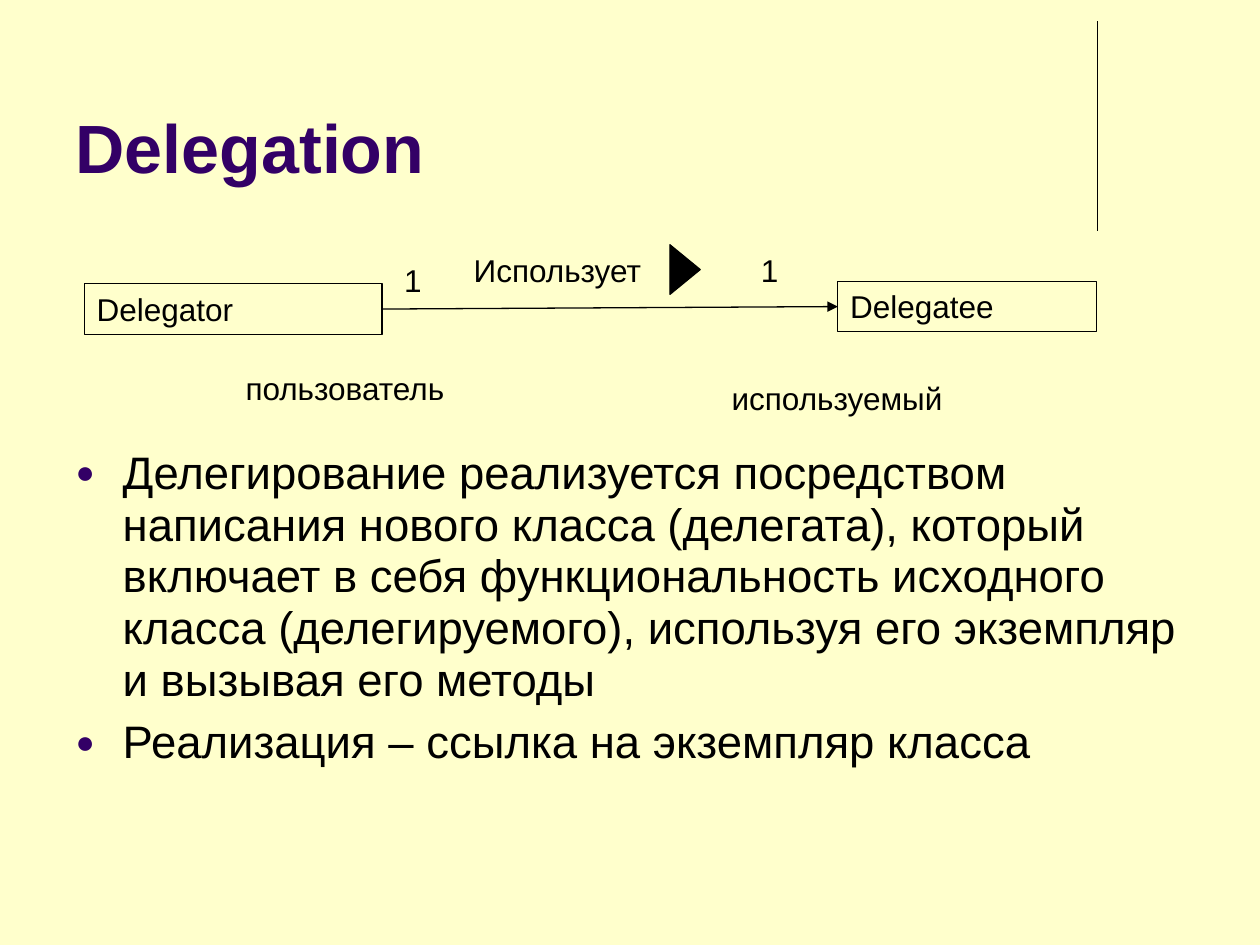
from lxml import etree
from pptx import Presentation
from pptx import util as u
from pptx.dml.color import RGBColor
from pptx.enum import shapes, text
from pptx.oxml.ns import qn

CREAM = RGBColor(0xFF, 0xFF, 0xCC)
PURPLE = RGBColor(0x33, 0x00, 0x66)
BLACK = RGBColor(0x00, 0x00, 0x00)
FONT = "Arial"
LINE_WIDTH = u.Pt(0.75)
LABEL_HEIGHT = 1.02

BULLETS = [
    "Делегирование реализуется посредством написания нового класса (делегата), "
    "который включает в себя функциональность исходного класса (делегируемого), "
    "используя его экземпляр и вызывая его методы",
    "Реализация – ссылка на экземпляр класса",
]
LABELS = [
    ("пользователь", 3, 2.39, 4.6),
    ("используемый", 12.8, 2.59, 5.8),
    ("1", 6.2, 0.2, 1.4),
    ("1", 13.39, 0, 1.4),
    ("Использует", 7.6, 0, 4),
]


def place(shape, left, top, width, height):
    """Move and size a shape, in centimetres."""
    shape.left, shape.top = u.Cm(left), u.Cm(top)
    shape.width, shape.height = u.Cm(width), u.Cm(height)


def add_run(paragraph, words, size, color=BLACK, bold=False):
    """Append one formatted run to a paragraph."""
    run = paragraph.add_run()
    run.text = words
    run.font.name, run.font.size, run.font.bold = FONT, u.Pt(size), bold
    run.font.color.rgb = color


def write_label(shape, words):
    """Fill a shape with one left-aligned diagram label."""
    frame = shape.text_frame
    frame.word_wrap = True
    frame.vertical_anchor = text.MSO_ANCHOR.TOP
    paragraph = frame.paragraphs[0]
    paragraph.alignment = text.PP_ALIGN.LEFT
    add_run(paragraph, words, 18)


def add_line(slide, x1, y1, x2, y2):
    """Draw a thin black line without shadow, in centimetres."""
    line = slide.shapes.add_connector(
        shapes.MSO_CONNECTOR.STRAIGHT, u.Cm(x1), u.Cm(y1), u.Cm(x2), u.Cm(y2))
    line.line.color.rgb, line.line.width = BLACK, LINE_WIDTH
    etree.SubElement(line._element.spPr, qn("a:effectLst"))
    return line


def add_outline(slide, preset, left, top, width, height):
    """Add an unfilled preset shape with a thin black outline."""
    shape = slide.shapes.add_shape(
        preset, u.Cm(left), u.Cm(top), u.Cm(width), u.Cm(height))
    shape.shadow.inherit = False
    shape.fill.background()
    shape.line.color.rgb, shape.line.width = BLACK, LINE_WIDTH
    return shape


def add_class_box(slide, words, left, top, width):
    """Add an outlined class box with its name."""
    box = add_outline(slide, shapes.MSO_SHAPE.RECTANGLE, left, top, width, LABEL_HEIGHT)
    write_label(box, words)
    return box


def build_title(slide, left, top, width, height):
    """Place the heading and the vertical rule at its right."""
    title = slide.shapes.title
    place(title, left, top, width, height)
    frame = title.text_frame
    frame.vertical_anchor = text.MSO_ANCHOR.BOTTOM
    frame.auto_size = text.MSO_AUTO_SIZE.NONE
    paragraph = frame.paragraphs[0]
    paragraph.alignment = text.PP_ALIGN.LEFT
    add_run(paragraph, "Delegation", 39, PURPLE, True)
    rule = left + width - 0.1
    add_line(slide, rule, top + 0.1, rule, top + 4.32)


def build_diagram(slide, left, top):
    """Draw the two classes, their association and its labels."""
    delegator = add_class_box(slide, "Delegator", left, top + 0.79, 6)
    delegatee = add_class_box(slide, "Delegatee", left + 15.19, top + 0.74, 5.21)
    arrow = add_line(slide, left, top, left, top)
    arrow.begin_connect(delegator, 3)
    arrow.end_connect(delegatee, 1)
    etree.SubElement(arrow.line._get_or_add_ln(), qn("a:tailEnd"), type="triangle")
    for words, x, y, width in LABELS:
        label = slide.shapes.add_textbox(
            u.Cm(left + x), u.Cm(top + y), u.Cm(width), u.Cm(LABEL_HEIGHT))
        write_label(label, words)
    direction = add_outline(
        slide, shapes.MSO_SHAPE.FLOWCHART_EXTRACT, left + 11.61, top + 0.2, 1, 0.61)
    direction.rotation = 90
    direction.fill.solid()
    direction.fill.fore_color.rgb = BLACK


def add_bullet(paragraph):
    """Give a paragraph a purple hanging bullet."""
    properties = paragraph._p.get_or_add_pPr()
    properties.set("marL", str(u.Cm(0.95)))
    properties.set("indent", str(-u.Cm(0.95)))
    color = etree.SubElement(properties, qn("a:buClr"))
    etree.SubElement(color, qn("a:srgbClr"), val=str(PURPLE))
    etree.SubElement(properties, qn("a:buSzPct"), val="70000")
    etree.SubElement(properties, qn("a:buFont"), typeface=FONT)
    etree.SubElement(properties, qn("a:buChar"), char="●")


def build_body(slide, left, top, width, height):
    """Place the bulleted list."""
    body = slide.placeholders[1]
    place(body, left, top, width, height)
    frame = body.text_frame
    frame.auto_size = text.MSO_AUTO_SIZE.NONE
    for index, words in enumerate(BULLETS):
        paragraph = frame.add_paragraph() if index else frame.paragraphs[0]
        add_bullet(paragraph)
        paragraph.line_spacing = 0.95
        paragraph.space_before = u.Pt(6 if index else 0)
        add_run(paragraph, words, 26)


def main():
    """Build and save the slide."""
    presentation = Presentation()
    presentation.slide_width, presentation.slide_height = u.Cm(25.4), u.Cm(19.05)
    slide = presentation.slides.add_slide(presentation.slide_layouts[1])
    slide.background.fill.solid()
    slide.background.fill.fore_color.rgb = CREAM
    build_title(slide, 1.27, 0.33, 20.95, 3.58)
    build_diagram(slide, 1.7, 4.93)
    build_body(slide, 1.27, 8.9, 22.86, 8.1)
    presentation.save("out.pptx")


if __name__ == "__main__":
    main()
